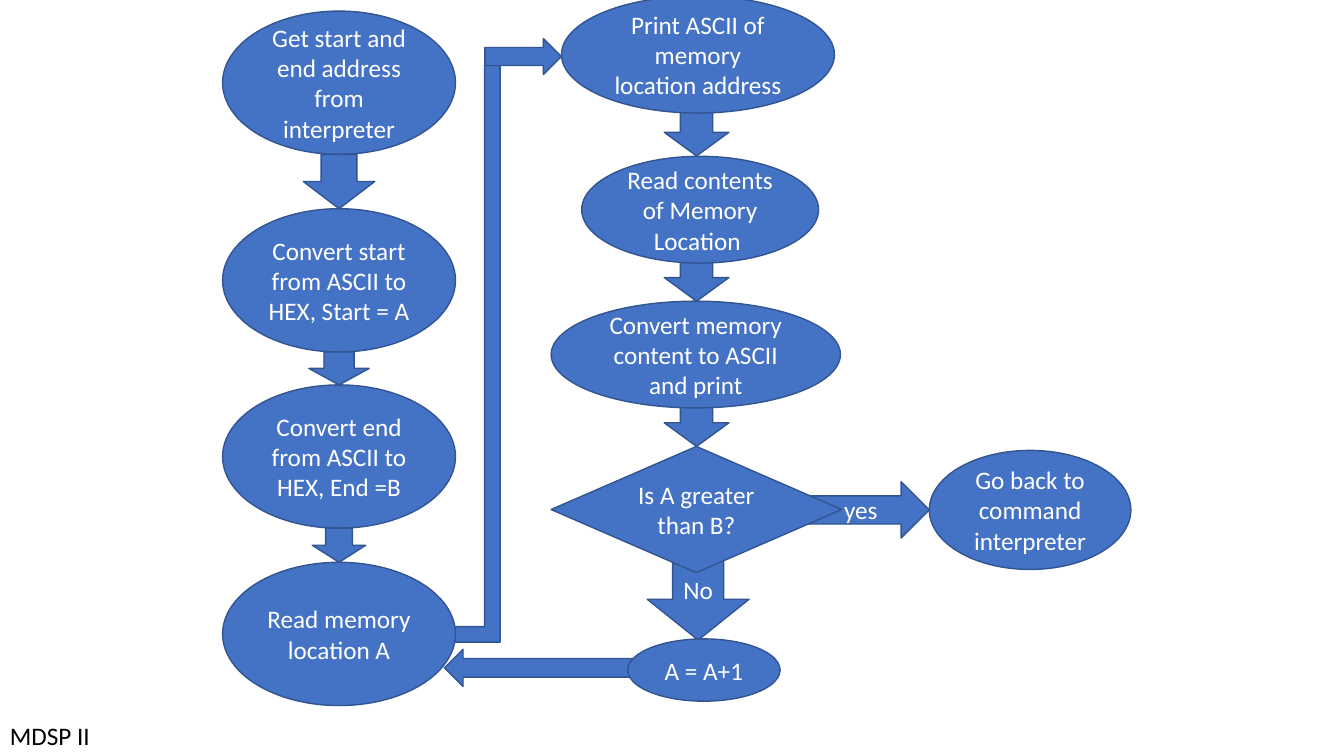
from pptx import Presentation
from pptx.dml.color import RGBColor as Rgb
from pptx.enum.shapes import MSO_SHAPE as Kind
from pptx.enum.text import MSO_ANCHOR as Anchor, PP_ALIGN as Align
from pptx.util import Cm, Pt

HUES = {"fill": "4472C4", "line": "325491", "light": "FFFFFF", "dark": "000000"}


def hue(name):
    """Return the named colour."""
    return Rgb.from_string(HUES[name])


def write(shape, text, name):
    """Put styled text in a shape."""
    shape.text_frame.word_wrap = True
    par = shape.text_frame.paragraphs[0]
    par.text = text
    par.font.name, par.font.size = "Calibri", Pt(18)
    par.font.color.rgb = hue(name)
    return par


def draw(slide, kind, left, top, width, height, text=""):
    """Draw one flowchart shape, sized in centimetres."""
    shape = slide.shapes.add_shape(kind, Cm(left), Cm(top), Cm(width), Cm(height))
    shape.shadow.inherit = False
    shape.fill.solid()
    shape.fill.fore_color.rgb = hue("fill")
    shape.line.color.rgb = hue("line")
    shape.line.width = Pt(1)
    if text:
        shape.text_frame.vertical_anchor = Anchor.MIDDLE
        write(shape, text, "light").alignment = Align.CENTER
    return shape


def link(slide, left, top):
    """Draw the arrows that join the two columns."""
    draw(slide, Kind.LEFT_ARROW, left + 0.15, top + 15.39, 5.21, 0.94)
    bend = draw(slide, Kind.BENT_UP_ARROW, left, top + 0.33, 1.55, 14.88)
    for i, ratio in enumerate((0.25, 0.123, 0.213)):
        bend.adjustments[i] = ratio
    draw(slide, Kind.RIGHT_ARROW, left + 1.17, top, 1.93, 0.91)


def setup(slide, left, top, width):
    """Draw the setup column with an arrow in each gap."""
    high = 3.61
    steps = [
        (0, 1.8, "Get start and end address from interpreter"),
        (4.98, 1.52, "Convert start from ASCII to HEX, Start = A"),
        (9.42, 1.35, "Convert end from ASCII to HEX, End =B"),
        (13.89, 0, "Read memory location A"),
    ]
    for down, _, text in steps:
        draw(slide, Kind.OVAL, left, top + down, width, high, text)
    for (down, wide, _), (after, *_) in zip(steps, steps[1:]):
        draw(slide, Kind.DOWN_ARROW, left + (width - wide) / 2,
             top + down + high, wide, after - down - high)


def loop(slide, left, top, width):
    """Draw the print loop, its test and its exit."""
    draw(slide, Kind.DOWN_ARROW, left + 2.42, top + 14.17, 2.57, 2.06, "No")
    draw(slide, Kind.RIGHT_ARROW, left + 6.43, top + 12.24, 3.1, 1.42, "yes")
    for i in range(3):
        draw(slide, Kind.DOWN_ARROW, left + 2.85, top + 2.84 + i * 3.66, 1.63, 1.19)
    steps = [
        (Kind.OVAL, 0.26, 0, 6.88, 2.95, "Print ASCII of memory location address"),
        (Kind.OVAL, 0.77, 4.04, 5.97, 2.69, "Read contents of Memory Location "),
        (Kind.OVAL, 0, 7.69, 7.29, 2.69, "Convert memory content to ASCII and print"),
        (Kind.FLOWCHART_DECISION, 0, 11.35, width, 3.18, "Is A greater than B?"),
        (Kind.OVAL, 1.93, 16.2, 3.84, 1.57, "A = A+1"),
        (Kind.OVAL, 9.53, 11.45, 5.08, 3, "Go back to command interpreter"),
    ]
    for kind, right, down, wide, high, text in steps:
        draw(slide, kind, left + right, top + down, wide, high, text)


def label(slide, left, top, width, height):
    """Add the footer label."""
    box = slide.shapes.add_textbox(Cm(left), Cm(top), Cm(width), Cm(height))
    write(box, "MDSP II", "dark")


def main():
    """Build and save the slide."""
    deck = Presentation()
    deck.slide_width, deck.slide_height = Cm(33.87), Cm(19.05)
    slide = deck.slides.add_slide(deck.slide_layouts[6])
    link(slide, 11.05, 0.97)
    setup(slide, 5.61, 0.28, 5.87)
    label(slide, 0, 18.03, 4.57, 1.02)
    loop(slide, 13.89, -0.1, 7.32)
    deck.save("out.pptx")


main()
